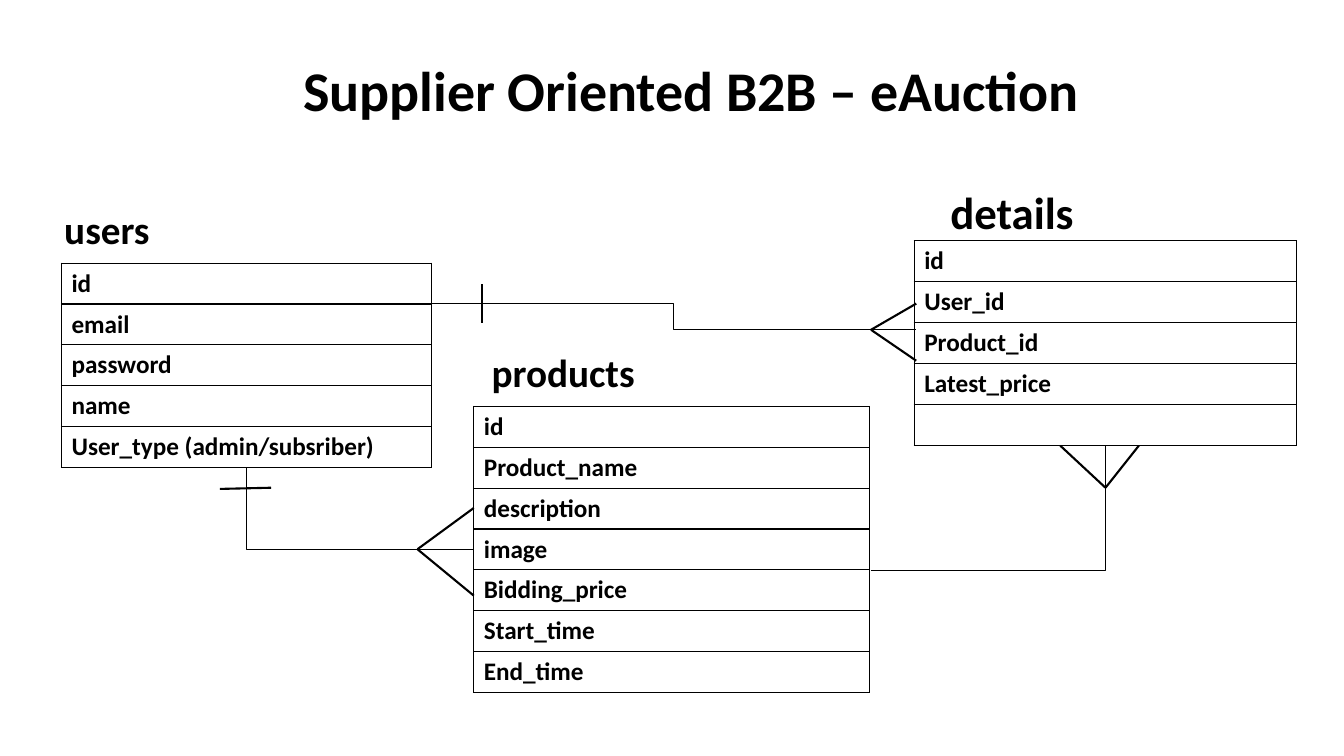
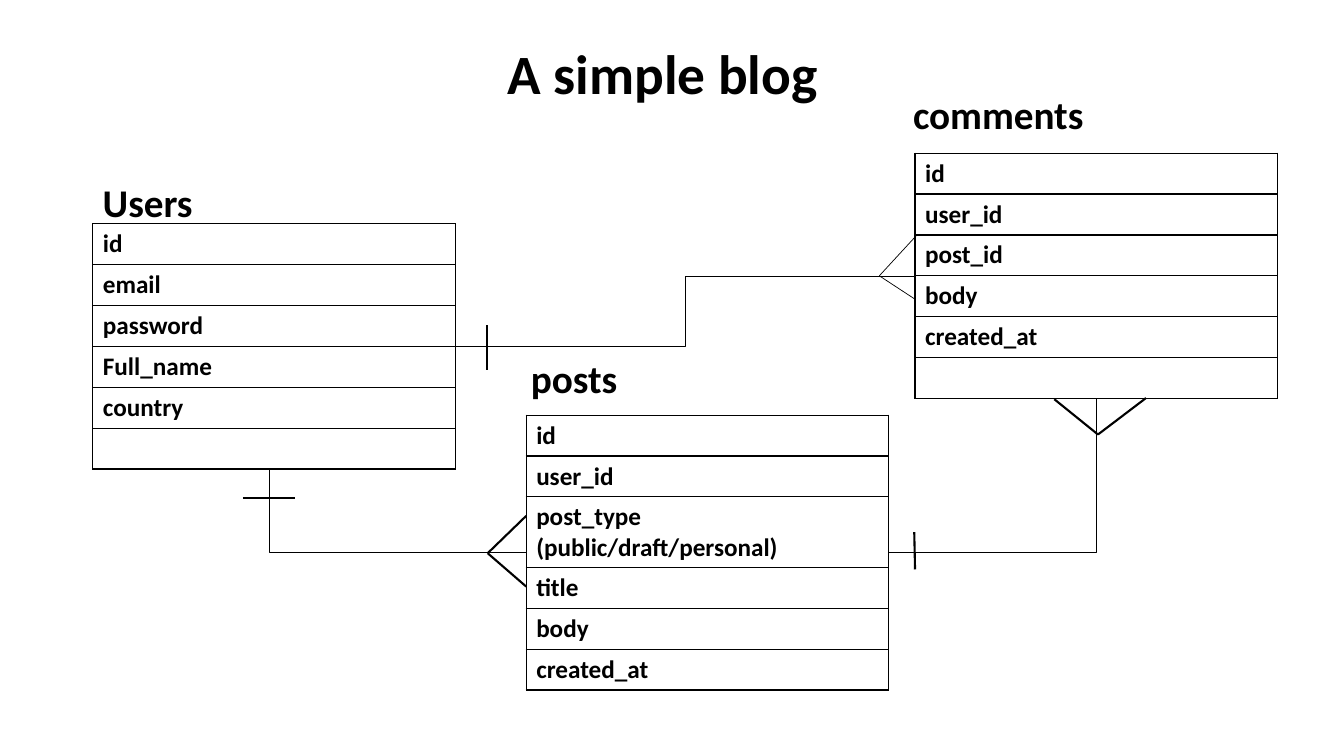
"""Build two entity-relationship slides: an auction site and a simple blog."""
from lxml.etree import SubElement
from pptx import Presentation
from pptx.dml.color import RGBColor
from pptx.enum.shapes import MSO_CONNECTOR as Link
from pptx.enum.text import MSO_ANCHOR as Anchor, MSO_AUTO_SIZE as AutoSize, PP_ALIGN as Align
from pptx.oxml.ns import qn
from pptx.util import Cm, Pt

INK = "000000"
FONT = "Calibri"
ROW_HEIGHT = 1.03
THIN, THICK = 0.5, 1.5


def style_text(paragraph, size):
    paragraph.alignment = Align.LEFT
    for run in paragraph.runs:
        run.font.name = FONT
        run.font.size = Pt(size)
        run.font.bold = True
        run.font.color.rgb = RGBColor.from_string(INK)


def draw_line(slide, start, end, weight, bend=None):
    kind = Link.STRAIGHT if bend is None else Link.ELBOW
    line = slide.shapes.add_connector(kind, *[Cm(value) for value in (*start, *end)])
    line.line.color.rgb = RGBColor.from_string(INK)
    line.line.width = Pt(weight)
    properties = line.element.spPr
    SubElement(properties, qn("a:effectLst"))
    if bend is not None:
        adjustments = properties.find(qn("a:prstGeom")).find(qn("a:avLst"))
        SubElement(adjustments, qn("a:gd"), name="adj1", fmla=f"val {int(bend * 100000)}")


diagrams = [
    {
        "title": "Supplier Oriented B2B – eAuction",
        "title_size": 40, "title_height": 2.69, "title_indent": 5.3,
        "entities": [
            ("users", 28, (1.37, 5.05), (1.55, 6.63), 9.32,
             ["id", "email", "password", "name", "User_type (admin/subsriber)"]),
            ("products", 28, (12.14, 8.64), (11.94, 10.24), 9.98,
             ["id", "Product_name", "description", "image", "Bidding_price",
              "Start_time", "End_time"]),
            ("details", 32, (23.7, 4.52), (23.04, 6.07), 9.63,
             ["id", "User_id", "Product_id", "Latest_price", ""]),
        ],
        "relations": [
            ((10.85, 7.65), (23.09, 8.31), 0.5),
            ((6.22, 11.79), (11.94, 13.84), 0),
            ((21.95, 14.38), (27.86, 11.23), 1),
        ],
        "one_bars": [
            ((12.14, 7.16), (12.14, 8.15)),
            ((6.83, 12.29), (5.54, 12.32)),
        ],
        "crow_feet": [
            ((21.95, 8.31), (23.09, 7.65), (23.09, 9.09), THICK),
            ((10.52, 13.84), (11.94, 12.8), (11.94, 15.01), THICK),
            ((27.86, 12.29), (26.72, 11.23), (28.7, 11.23), THICK),
        ],
    },
    {
        "title": "A simple blog",
        "title_size": 39.6, "title_height": 1.83, "title_indent": 10.45,
        "entities": [
            ("Users", 28, (2.34, 4.37), (2.34, 5.64), 9.14,
             ["id", "email", "password", "Full_name", "country", ""]),
            ("posts", 28, (13.13, 8.81), (13.26, 10.46), 9.14,
             ["id", "user_id", "post_type (public/draft/personal)", "title", "body",
              "created_at"]),
            ("comments", 28, (22.76, 2.16), (23.06, 3.86), 9.14,
             ["id", "user_id", "post_id", "body", "created_at", ""]),
        ],
        "relations": [
            ((11.48, 8.74), (23.06, 6.96), 0.5),
            ((6.78, 11.81), (13.26, 13.92), 0),
            ((22.4, 13.92), (27.64, 10.03), 1),
        ],
        "one_bars": [
            ((12.27, 8.2), (12.27, 9.32)),
            ((6.12, 12.55), (7.44, 12.55)),
            ((23.04, 13.41), (23.06, 14.35)),
        ],
        "crow_feet": [
            ((22.16, 6.95), (23.09, 5.94), (23.06, 7.54), THIN),
            ((12.29, 13.94), (13.26, 13), (13.26, 14.78), THICK),
            ((27.67, 10.95), (26.57, 10.06), (28.88, 10.03), THICK),
        ],
    },
]

deck = Presentation()
deck.slide_width, deck.slide_height = Cm(33.87), Cm(19.05)

for diagram in diagrams:
    slide = deck.slides.add_slide(deck.slide_layouts[5])
    title = slide.shapes.title
    title.left, title.top = Cm(2.34), Cm(1.02)
    title.width, title.height = Cm(29.21), Cm(diagram["title_height"])
    heading = title.text_frame
    heading.text = diagram["title"]
    heading.auto_size = AutoSize.NONE
    heading.vertical_anchor = Anchor.MIDDLE
    heading.margin_left = Cm(diagram["title_indent"])
    heading.paragraphs[0].line_spacing = 0.9
    style_text(heading.paragraphs[0], diagram["title_size"])

    for entity, label_size, label_at, table_at, width, fields in diagram["entities"]:
        label = slide.shapes.add_textbox(Cm(label_at[0]), Cm(label_at[1]), Cm(6.4), Cm(1.45))
        label.text_frame.word_wrap = True
        label.text_frame.text = entity
        style_text(label.text_frame.paragraphs[0], label_size)

        table = slide.shapes.add_table(
            len(fields), 1, Cm(table_at[0]), Cm(table_at[1]),
            Cm(width), Cm(ROW_HEIGHT * len(fields))).table
        table.first_row = table.horz_banding = False
        for row, field in zip(table.rows, fields):
            row.height = Cm(ROW_HEIGHT)
            cell = row.cells[0]
            cell.text = field
            style_text(cell.text_frame.paragraphs[0], 18)
            cell_properties = cell._tc.get_or_add_tcPr()
            for side in ("lnL", "lnR", "lnT", "lnB"):
                border = SubElement(cell_properties, qn(f"a:{side}"), w=str(Pt(1)))
                SubElement(SubElement(border, qn("a:solidFill")), qn("a:srgbClr"), val=INK)
            cell.fill.background()

    for start, end, bend in diagram["relations"]:
        draw_line(slide, start, end, THIN, bend)
    for start, end in diagram["one_bars"]:
        draw_line(slide, start, end, THICK)
    for apex, *toes, weight in diagram["crow_feet"]:
        for toe in toes:
            draw_line(slide, apex, toe, weight)

deck.save("out.pptx")
